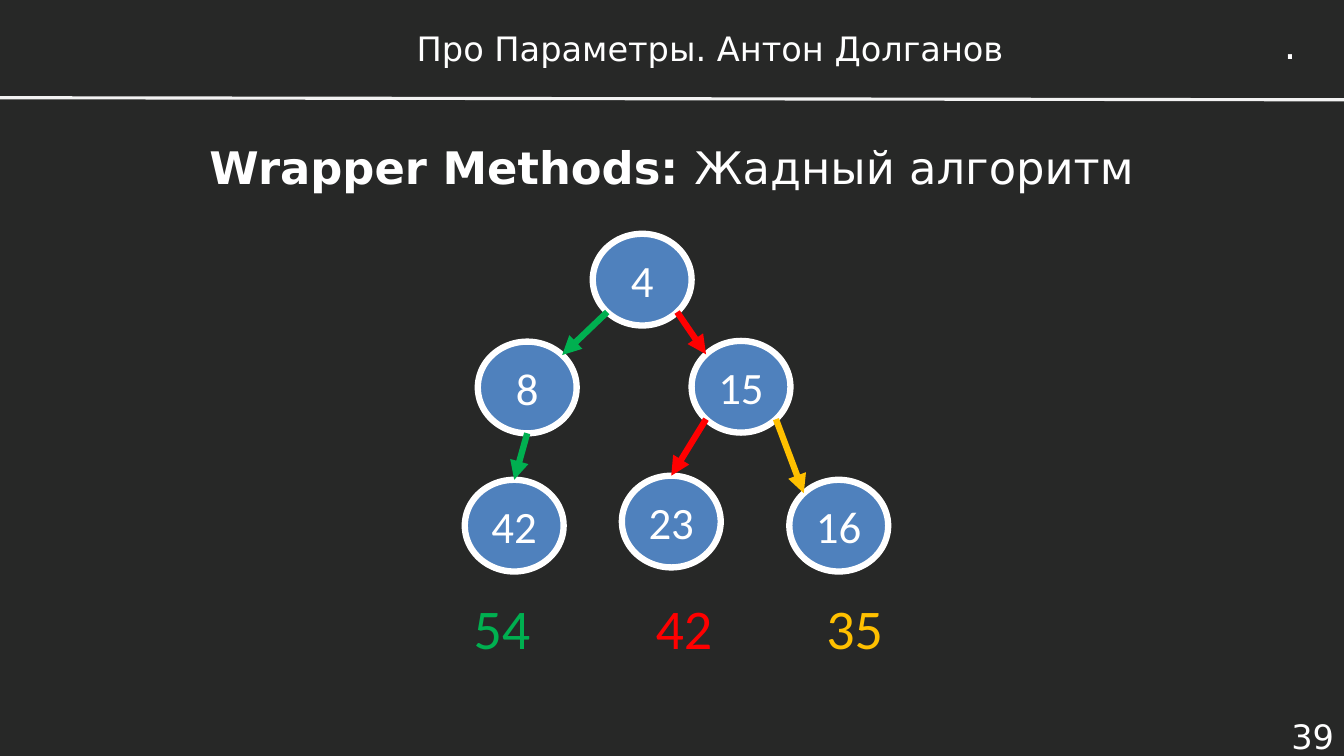
"""Build the slide on wrapper methods: a greedy algorithm shown as a tree."""
from dataclasses import dataclass
from math import sqrt

from lxml.etree import SubElement
from pptx import Presentation
from pptx.dml.color import RGBColor
from pptx.enum.shapes import MSO_CONNECTOR as Connector, MSO_SHAPE as Shape
from pptx.enum.text import MSO_ANCHOR as Anchor, PP_ALIGN as Align
from pptx.oxml.ns import qn
from pptx.util import Pt


@dataclass(frozen=True)
class Theme:
    background: str = "272827"
    text: str = "FFFFFF"
    rule: str = "F2F2F2"
    node: str = "4F81BD"
    green: str = "00B050"
    red: str = "FF0000"
    amber: str = "FFC000"
    heading_font: str = "DejaVu Sans"
    number_font: str = "Calibri"
    small: int = 24
    dot: int = 28
    large: int = 32
    total: int = 40
    thin: float = 2.25
    thick: float = 4.5


THEME = Theme()
SLIDE_WIDTH, SLIDE_HEIGHT = 960, 540
NODE_WIDTH, NODE_HEIGHT = 70.6, 65.5

HEADER = "Про Параметры. Антон Долганов"
TITLE = ("Wrapper Methods: ", "Жадный алгоритм")
PAGE = "39"
NODES = {
    "4": (423.4, 167),
    "8": (341.3, 244),
    "15": (494, 243.5),
    "42": (332, 342.7),
    "23": (444.2, 339.8),
    "16": (563.8, 342.7),
}
EDGES = [
    ("4", "bottom left", "8", "top right", THEME.green),
    ("4", "bottom right", "15", "top left", THEME.red),
    ("8", "bottom", "42", "top", THEME.green),
    ("15", "bottom left", "23", "top", THEME.red),
    ("15", "bottom right", "16", "top left", THEME.amber),
]
TOTALS = [("54", THEME.green), ("42", THEME.red), ("35", THEME.amber)]
TOTAL_STOPS = (130, 252)


def style_run(run, size, font, color, bold=False):
    run.font.size = Pt(size)
    run.font.name = font
    run.font.bold = bold
    run.font.color.rgb = RGBColor.from_string(color)


def add_text(slide, box, runs, align=Align.LEFT, anchor=Anchor.MIDDLE, stops=()):
    shape = slide.shapes.add_textbox(*map(Pt, box))
    frame = shape.text_frame
    frame.word_wrap = True
    frame.vertical_anchor = anchor
    paragraph = frame.paragraphs[0]
    paragraph.alignment = align
    if stops:
        tab_list = SubElement(paragraph._p.get_or_add_pPr(), qn("a:tabLst"))
        for stop in stops:
            SubElement(tab_list, qn("a:tab"), pos=str(Pt(stop)), algn="l")
    for text, *style in runs:
        run = paragraph.add_run()
        run.text = text
        style_run(run, *style)


def add_line(slide, start, end, color, width, arrow=False):
    line = slide.shapes.add_connector(Connector.STRAIGHT, *map(Pt, (*start, *end)))
    line.line.color.rgb = RGBColor.from_string(color)
    line.line.width = Pt(width)
    if arrow:
        SubElement(line.line._get_or_add_ln(), qn("a:tailEnd"), type="triangle")
    SubElement(line._element.spPr, qn("a:effectLst"))


def add_node(slide, label, left, top):
    shape = slide.shapes.add_shape(
        Shape.OVAL, *map(Pt, (left, top, NODE_WIDTH, NODE_HEIGHT)))
    shape.shadow.inherit = False
    shape.fill.solid()
    shape.fill.fore_color.rgb = RGBColor.from_string(THEME.node)
    shape.line.color.rgb = RGBColor.from_string(THEME.text)
    shape.line.width = Pt(THEME.thick)
    frame = shape.text_frame
    frame.text = label
    frame.vertical_anchor = Anchor.MIDDLE
    paragraph = frame.paragraphs[0]
    paragraph.alignment = Align.CENTER
    style_run(paragraph.runs[0], THEME.large, THEME.number_font, THEME.text)


def rim_point(label, side):
    left, top = NODES[label]
    across = ("right" in side) - ("left" in side)
    down = ("bottom" in side) - ("top" in side)
    length = sqrt(across ** 2 + down ** 2)
    return (left + NODE_WIDTH / 2 * (1 + across / length),
            top + NODE_HEIGHT / 2 * (1 + down / length))


def main():
    presentation = Presentation()
    presentation.slide_width, presentation.slide_height = Pt(SLIDE_WIDTH), Pt(SLIDE_HEIGHT)
    slide = presentation.slides.add_slide(presentation.slide_layouts[6])
    slide.background.fill.solid()
    slide.background.fill.fore_color.rgb = RGBColor.from_string(THEME.background)

    heading = (THEME.heading_font, THEME.text)
    add_text(slide, (884, 510, 76, 32), [(PAGE, THEME.small, *heading)], Align.RIGHT)
    add_text(slide, (202, 13.7, 610.6, 41), [(HEADER, THEME.small, *heading)], Align.CENTER)
    add_line(slide, (0, 69.8), (SLIDE_WIDTH, 71.3), THEME.rule, THEME.thin)
    add_text(slide, (910, 10.8, 25.2, 41), [(".", THEME.dot, *heading)], anchor=Anchor.TOP)
    title_runs = [(text, THEME.large, *heading, bold)
                  for text, bold in zip(TITLE, (True, False))]
    add_text(slide, (45.4, 70.6, 869, 96.5), title_runs, Align.CENTER)

    for label, position in NODES.items():
        add_node(slide, label, *position)
    for parent, exit_side, child, entry_side, color in EDGES:
        add_line(slide, rim_point(parent, exit_side), rim_point(child, entry_side),
                 color, THEME.thick, arrow=True)

    total_runs = [("\t" * (index > 0) + total, THEME.total, THEME.number_font, color)
                  for index, (total, color) in enumerate(TOTALS)]
    add_text(slide, (331.2, 420.5, 399, 55.4), total_runs, anchor=Anchor.TOP,
             stops=TOTAL_STOPS)
    presentation.save("out.pptx")


if __name__ == "__main__":
    main()
